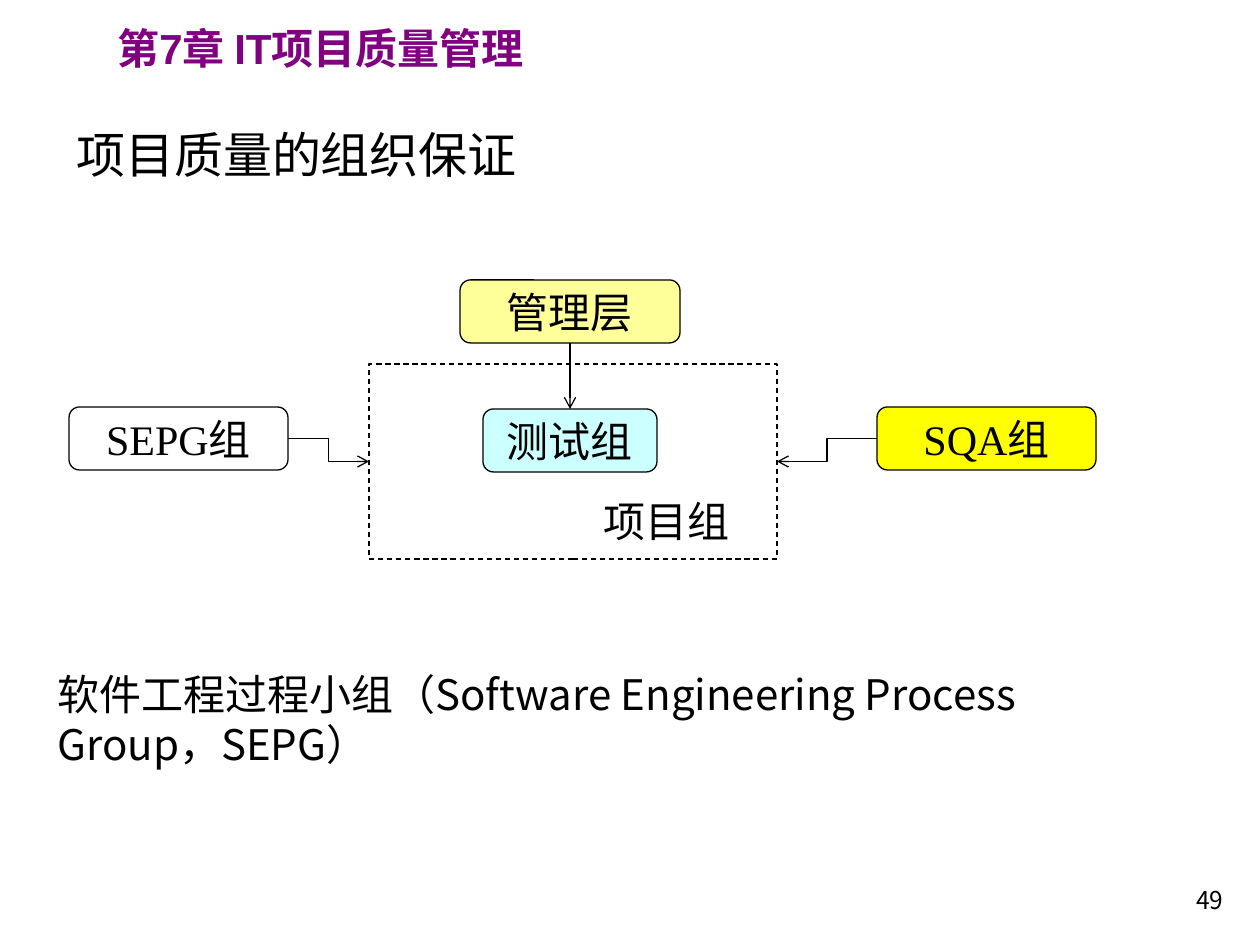
"""Build the slide on organisational assurance of project quality."""
from lxml.etree import SubElement
from pptx import Presentation
from pptx.dml.color import RGBColor
from pptx.enum.dml import MSO_LINE
from pptx.enum.shapes import MSO_CONNECTOR, MSO_SHAPE
from pptx.enum.text import MSO_ANCHOR, PP_ALIGN
from pptx.oxml.ns import qn
from pptx.util import Emu, Pt

BLACK = RGBColor(0x00, 0x00, 0x00)
PURPLE = RGBColor(0x80, 0x00, 0x80)
PALE_YELLOW = RGBColor(0xFF, 0xFF, 0x99)
PALE_CYAN = RGBColor(0xCC, 0xFF, 0xFF)
YELLOW = RGBColor(0xFF, 0xFF, 0x00)
SANS = "Noto Sans CJK SC"
TOP, LEFT, BOTTOM, RIGHT = range(4)


def px(n):
    return Emu(round(n * 914400 / 126))


def set_font(p, name, size, color=BLACK, bold=False):
    p.font.name = name
    p.font.size = Pt(size)
    p.font.bold = bold
    p.font.color.rgb = color


def add_text(slide, box, text, font, size, color=BLACK, bold=False,
             align=PP_ALIGN.LEFT, anchor=MSO_ANCHOR.TOP):
    tf = slide.shapes.add_textbox(*map(px, box)).text_frame
    tf.word_wrap = True
    tf.vertical_anchor = anchor
    p = tf.paragraphs[0]
    p.text = text
    p.alignment = align
    set_font(p, font, size, color, bold)


def add_box(slide, preset, box, fill=None, outlined=True):
    sp = slide.shapes.add_shape(preset, *map(px, box))
    sp.shadow.inherit = False
    if fill is None:
        sp.fill.background()
    else:
        sp.fill.solid()
        sp.fill.fore_color.rgb = fill
    if outlined:
        sp.line.color.rgb = BLACK
        sp.line.width = Pt(0.75)
    else:
        sp.line.fill.background()
    return sp


def add_group(slide, box, text, fill=None, outlined=True):
    sp = add_box(slide, MSO_SHAPE.ROUNDED_RECTANGLE, box, fill, outlined)
    tf = sp.text_frame
    tf.word_wrap = True
    tf.vertical_anchor = MSO_ANCHOR.MIDDLE
    tf.margin_left = tf.margin_right = px(4)
    tf.margin_top = tf.margin_bottom = px(5)
    p = tf.paragraphs[0]
    p.text = text
    p.alignment = PP_ALIGN.CENTER
    set_font(p, "Times New Roman", 24)
    return sp


def add_arrow(slide, kind, start, start_side, end, end_side):
    line = slide.shapes.add_connector(kind, 0, 0, 0, 0)
    line.begin_connect(start, start_side)
    line.end_connect(end, end_side)
    line.line.color.rgb = BLACK
    line.line.width = Pt(0.75)
    SubElement(line.line._get_or_add_ln(), qn("a:tailEnd"), type="arrow")
    SubElement(line._element.spPr, qn("a:effectLst"))


def main():
    prs = Presentation()
    prs.slide_width, prs.slide_height = px(1260), px(945)
    slide = prs.slides.add_slide(prs.slide_layouts[6])

    add_text(slide, (105, 16, 507, 63), "第7章 IT项目质量管理", "Arial", 24,
             PURPLE, bold=True)
    add_text(slide, (64, 115, 983, 77), "项目质量的组织保证", "Arial", 28,
             anchor=MSO_ANCHOR.MIDDLE)
    add_text(slide, (1126, 879, 110, 59), "49", SANS, 14, align=PP_ALIGN.RIGHT)

    management = add_group(slide, (460, 280, 220, 63), "管理层", PALE_YELLOW)
    testing = add_group(slide, (483, 409, 174, 63), "测试组", PALE_CYAN)
    sqa = add_group(slide, (877, 407, 219, 63), "SQA组", YELLOW)
    sepg = add_group(slide, (69, 407, 219, 63), "SEPG组")
    project = add_box(slide, MSO_SHAPE.RECTANGLE, (369, 364, 408, 195))
    project.line.dash_style = MSO_LINE.DASH
    add_group(slide, (573, 489, 188, 63), "项目组", outlined=False)

    add_arrow(slide, MSO_CONNECTOR.STRAIGHT, management, BOTTOM, testing, TOP)
    add_arrow(slide, MSO_CONNECTOR.ELBOW, sqa, LEFT, project, RIGHT)
    add_arrow(slide, MSO_CONNECTOR.ELBOW, sepg, RIGHT, project, LEFT)

    add_text(slide, (45, 662, 1130, 115),
             "软件工程过程小组（Software Engineering Process Group，SEPG）",
             SANS, 24)
    prs.save("out.pptx")


if __name__ == "__main__":
    main()
